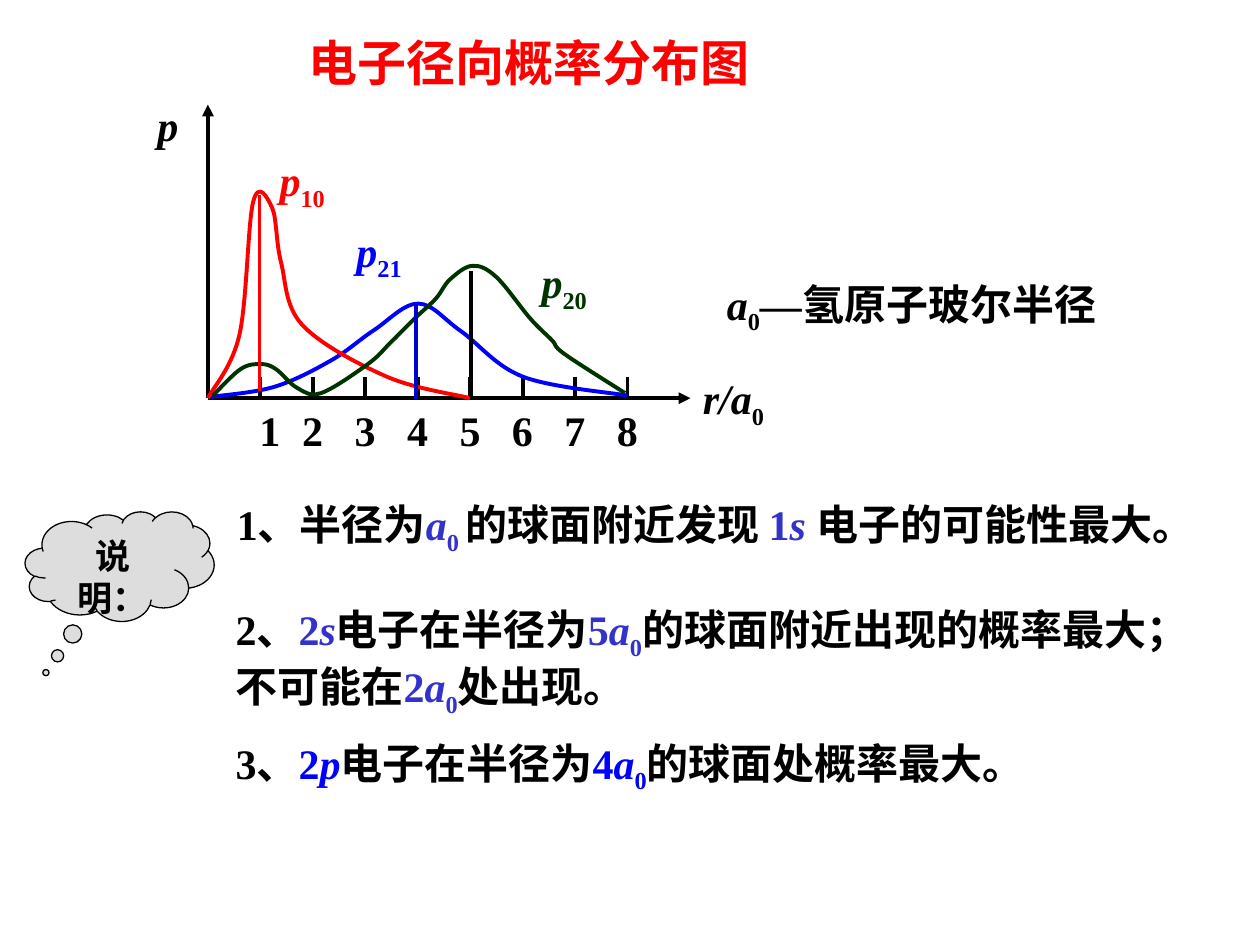
"""Build the slide on radial probability distributions of the electron."""
import lxml.etree
import pptx
import pptx.dml.color
import pptx.enum.shapes
import pptx.enum.text
import pptx.oxml.ns
import pptx.util

Inches = pptx.util.Inches
Pt = pptx.util.Pt
qn = pptx.oxml.ns.qn

BLACK, RED, BLUE, GREEN, INDIGO = "000000", "FF0000", "0000FF", "003300", "3333CC"
X0, Y0, STEP = 1.65, 3.16, 0.4163


def rgb(value):
    return pptx.dml.color.RGBColor.from_string(value)


def spline(knots):
    """Return two control points and an end point for each span between knots."""
    padded = [knots[0], *knots, knots[-1]]
    return [
        (tuple(q + (r - p) / 6 for p, q, r in zip(a, b, c)),
         tuple(r - (s - q) / 6 for q, r, s in zip(b, c, d)), c)
        for a, b, c, d in zip(padded, padded[1:], padded[2:], padded[3:])]


class Deck:
    """Hold the style and the current slide."""

    font, cjk, size = "Times New Roman", "Noto Sans CJK SC", 24

    def __init__(self):
        self.prs = pptx.Presentation()
        self.prs.slide_width, self.prs.slide_height = Inches(10), Inches(7.5)
        self.s = self.prs.slides.add_slide(self.prs.slide_layouts[4])

    def place(self, sp, x, y, w, h):
        sp.left, sp.top, sp.width, sp.height = map(Inches, (x, y, w, h))
        tf = sp.text_frame
        tf.word_wrap = True
        tf.auto_size = pptx.enum.text.MSO_AUTO_SIZE.NONE
        tf.vertical_anchor = pptx.enum.text.MSO_ANCHOR.TOP
        return tf

    def runs(self, p, parts, size=None, font=None):
        """Add (text, colour, style) runs; style i is italic, _ is subscript."""
        p._p.get_or_add_pPr().set("hangingPunct", "0")
        for text, color, style in parts:
            r = p.add_run()
            r.text = text
            r.font.size = Pt(size or self.size)
            r.font.bold, r.font.italic = True, "i" in style
            r.font.color.rgb = rgb(color)
            r.font.name = font or self.font
            rpr = r._r.get_or_add_rPr()
            lxml.etree.SubElement(rpr, qn("a:ea"), typeface=self.cjk)
            if "_" in style:
                rpr.set("baseline", "-25000")

    def tabs(self, p, stops):
        tab_list = lxml.etree.SubElement(p._p.get_or_add_pPr(), qn("a:tabLst"))
        for stop in stops:
            lxml.etree.SubElement(tab_list, qn("a:tab"), pos=str(Inches(stop)), algn="l")

    def title(self, box, text):
        p = self.place(self.s.shapes.title, *box).paragraphs[0]
        p.alignment = pptx.enum.text.PP_ALIGN.LEFT
        self.runs(p, [(text, RED, "")], 28, self.cjk)

    def note(self, index, box, parts):
        p = self.place(self.s.placeholders[index], *box).paragraphs[0]
        ppr = p._p.get_or_add_pPr()
        ppr.set("marL", "0")
        ppr.set("indent", "0")
        lxml.etree.SubElement(ppr, qn("a:buNone"))
        self.tabs(p, [1.28])
        p.space_before = Pt(0)
        self.runs(p, parts)

    def drop(self, index):
        sp = self.s.placeholders[index]._element
        sp.getparent().remove(sp)

    def label(self, box, parts, stops=()):
        p = self.place(self.s.shapes.add_textbox(0, 0, 0, 0), *box).paragraphs[0]
        if stops:
            self.tabs(p, stops)
        self.runs(p, parts)

    def line(self, start, end, color=BLACK, width=2.25, arrow=False):
        c = self.s.shapes.add_connector(
            pptx.enum.shapes.MSO_CONNECTOR.STRAIGHT, *map(Inches, (*start, *end)))
        c.line.color.rgb, c.line.width = rgb(color), Pt(width)
        if arrow:
            lxml.etree.SubElement(c.line._get_or_add_ln(), qn("a:tailEnd"), type="triangle")
        lxml.etree.SubElement(c._element.spPr, qn("a:effectLst"))

    def curve(self, knots, color):
        """Draw a freeform through the knots and round its segments."""
        points = [(Inches(x), Inches(y)) for x, y in knots]
        builder = self.s.shapes.build_freeform(*points[0])
        builder.add_line_segments(points[1:], close=False)
        sp = builder.convert_to_shape()
        segments = list(sp._element.iter(qn("a:lnTo")))
        for segment, span in zip(segments, spline(points)):
            bezier = lxml.etree.Element(qn("a:cubicBezTo"))
            for x, y in span:
                lxml.etree.SubElement(bezier, qn("a:pt"), x=str(round(x - sp.left)),
                                      y=str(round(y - sp.top)))
            segment.getparent().replace(segment, bezier)
        sp.shadow.inherit = False
        sp.fill.background()
        sp.line.color.rgb, sp.line.width = rgb(color), Pt(2.25)

    def cloud(self, box, text):
        sp = self.s.shapes.add_shape(
            pptx.enum.shapes.MSO_SHAPE.CLOUD_CALLOUT, *map(Inches, box))
        sp.adjustments[0], sp.adjustments[1] = -0.39, 0.97
        sp.shadow.inherit = False
        sp.fill.solid()
        sp.fill.fore_color.rgb = rgb("DDDDDD")
        sp.line.color.rgb, sp.line.width = rgb(BLACK), Pt(0.75)
        p = self.place(sp, *box).paragraphs[0]
        p.alignment = pptx.enum.text.PP_ALIGN.CENTER
        self.runs(p, [(text, BLACK, "")], 20)


def main():
    d = Deck()
    d.title((2.35, 0.21, 5, 0.57), "电子径向概率分布图")
    notes = [
        ((1.78, 3.91, 8.03, 0.56),
         [("1、半径为", BLACK, ""), ("a", INDIGO, "i"), ("0 ", INDIGO, "_"),
          ("的球面附近发现 ", BLACK, ""), ("1", INDIGO, ""), ("s ", INDIGO, "i"),
          ("电子的可能性最大。", BLACK, "")]),
        ((1.77, 4.74, 8.01, 1.01),
         [("2、", BLACK, ""), ("2", INDIGO, ""), ("s", INDIGO, "i"),
          ("电子在半径为", BLACK, ""), ("5", INDIGO, ""), ("a", INDIGO, "i"),
          ("0", INDIGO, "_"), ("的球面附近出现的概率最大；\t不可能在", BLACK, ""),
          ("2", INDIGO, ""), ("a", INDIGO, "i"), ("0", INDIGO, "_"),
          ("处出现。", BLACK, "")]),
        ((1.77, 5.8, 8.12, 0.56),
         [("3、", BLACK, ""), ("2", BLUE, ""), ("p", BLUE, "i"),
          ("电子在半径为", BLACK, ""), ("4", BLUE, ""), ("a", BLUE, "i"),
          ("0", BLUE, "_"), ("的球面处概率最大。", BLACK, "")]),
    ]
    for index, (box, parts) in enumerate(notes, 1):
        d.note(index, box, parts)
    d.drop(4)

    d.line((X0, Y0), (5.48, Y0), arrow=True)
    d.line((X0, Y0), (X0, 0.83), arrow=True)
    for n in range(1, 9):
        x = X0 + n * STEP
        d.line((x, 2.99), (x, Y0))
    d.label((1.96, 3.16, 3.27, 0.5), [("\t".join("12345678"), BLACK, "")],
            [0.34 + n * STEP for n in range(7)])
    d.label((5.48, 2.91, 0.92, 0.56), [("r/a", BLACK, "i"), ("0", BLACK, "_")])
    d.label((1.15, 0.74, 0.67, 0.5), [("p", BLACK, "i")])

    curves = [
        ("21", BLUE, (2.73, 1.74, 1.08, 0.56),
         [(1.68, 3.15), (2.18, 3.07), (2.63, 2.86), (2.97, 2.62), (3.32, 2.41),
          (3.66, 2.63), (4.15, 2.99), (4.98, 3.14)]),
        ("10", RED, (2.12, 1.18, 1.25, 0.56),
         [(1.65, 3.16), (1.9, 2.66), (2.01, 1.6), (2.16, 1.65), (2.23, 2.08),
          (2.4, 2.58), (3.07, 2.99), (3.73, 3.16)]),
        ("20", GREEN, (4.2, 1.99, 1.25, 0.56),
         [(1.69, 3.14), (1.91, 2.93), (2.07, 2.89), (2.19, 2.93), (2.36, 3.08),
          (2.55, 3.12), (2.92, 2.89), (3.1, 2.72), (3.29, 2.53), (3.46, 2.37),
          (3.57, 2.22), (3.75, 2.11), (3.94, 2.2), (4.21, 2.53), (4.38, 2.7),
          (4.48, 2.81), (4.96, 3.12)]),
    ]
    for index, color, box, knots in curves:
        d.curve(knots, color)
        d.label(box, [("p", color, "i"), (index, color, "_")])
    d.label((5.67, 2.16, 3.58, 0.56),
            [("a", BLACK, "i"), ("0", BLACK, "_"), ("—", BLACK, "i"),
             ("氢原子玻尔半径", BLACK, "")])
    for x, top, bottom, color in ((2.06, 1.55, 3.1, RED), (3.74, 2.15, 3.15, BLACK),
                                  (3.3, 2.41, 3.17, "0000CC")):
        d.line((x, top), (x, bottom), color, 2)
    d.cloud((0.2, 4.06, 1.5, 0.87), "说明：")
    d.prs.save("out.pptx")


if __name__ == "__main__":
    main()
